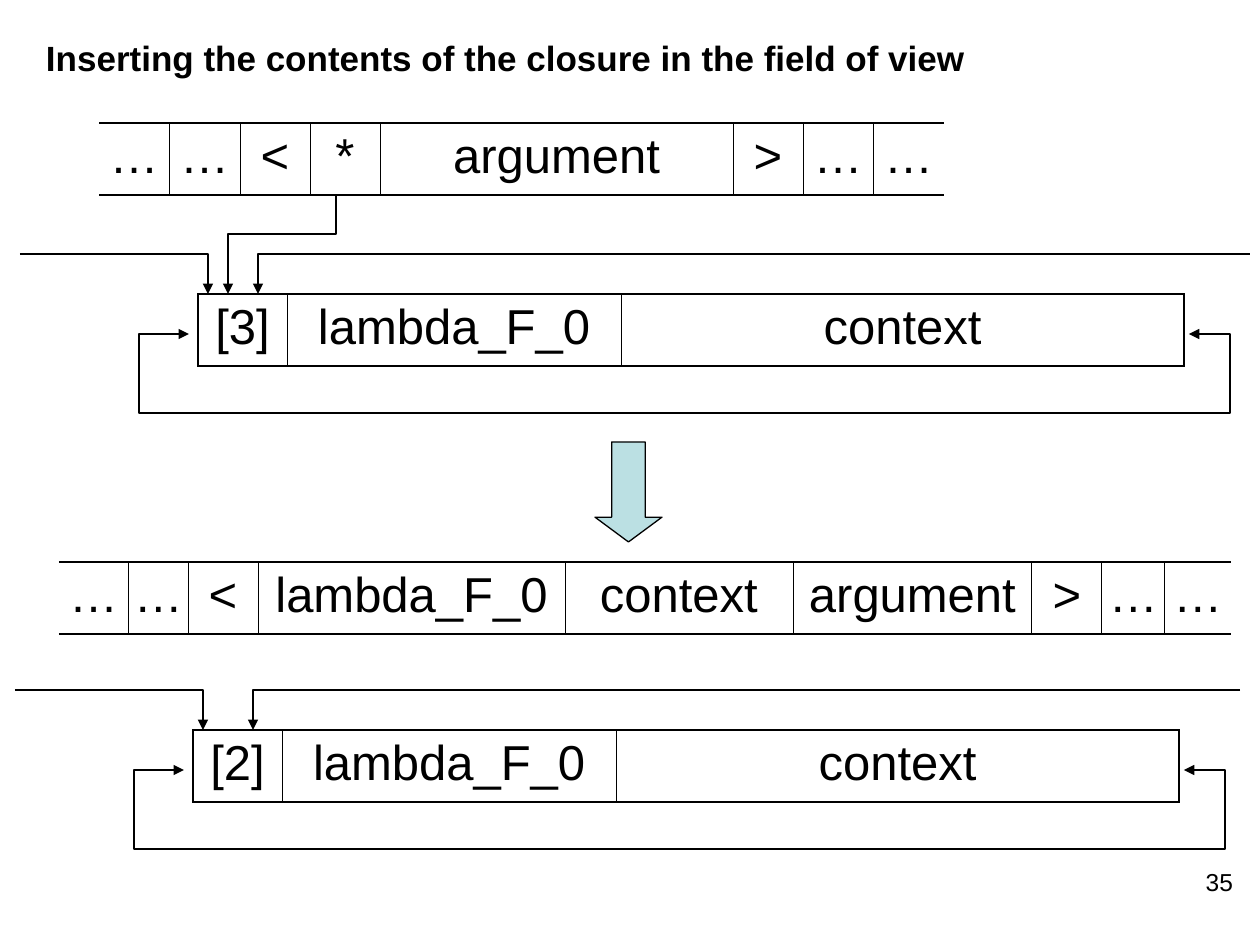
from lxml import etree
from pptx import Presentation, util as u
from pptx.dml import color
from pptx.enum import shapes, text
from pptx.oxml import ns

PX = 914400 / 126
INK = "000000"
PAD = u.Emu(round(6 * PX))
FRAME = dict(margin_left=PAD, margin_right=PAD, margin_top=PAD, margin_bottom=PAD)


def tint(code):
    return color.RGBColor.from_string(code)


def write(box, words, align, size, bold=False):
    box.text = words
    para = box.paragraphs[0]
    para.alignment = align
    for key, val in dict(name="Arial", size=u.Pt(size), bold=bold).items():
        setattr(para.font, key, val)
    para.font.color.rgb = tint(INK)


deck = Presentation()
deck.slide_width = round(1260 * PX)
deck.slide_height = round(945 * PX)
slide = deck.slides.add_slide(deck.slide_layouts[5])
items = slide.shapes

page = items.add_textbox(0, 0, 0, 0)
labels = [
    (items.title, (40, 30, 932, 54), False, text.PP_ALIGN.LEFT, 20, True,
     "Inserting the contents of the closure in the field of view"),
    (page, (1114, 861, 125, 42), True, text.PP_ALIGN.RIGHT, 14, False, "35"),
]
for box, place, wrap, align, size, bold, words in labels:
    for key, val in zip(("left", "top", "width", "height"), place):
        setattr(box, key, round(val * PX))
    frame = box.text_frame
    form = FRAME | dict(word_wrap=wrap, auto_size=text.MSO_AUTO_SIZE.NONE,
                        vertical_anchor=text.MSO_ANCHOR.TOP)
    for key, val in form.items():
        setattr(frame, key, val)
    write(frame, words, align, size, bold)

SHIFT = (-5, 436)
BOX = (89, 334, 563)
rows = [
    (99, 123, (70, 71, 70, 70, 353, 70, 70, 71), "… … < * argument > … …", True),
    (198, 294, BOX, "[3] lambda_F_0 context", False),
    (59, 562, (69, 60, 70, 307, 228, 239, 70, 63, 66),
     "… … < lambda_F_0 context argument > … …", True),
    (198 + SHIFT[0], 294 + SHIFT[1], BOX, "[2] lambda_F_0 context", False),
]
for left, top, widths, words, bare in rows:
    grid = items.add_table(1, len(widths), round(left * PX), round(top * PX),
                           round(sum(widths) * PX), round(72 * PX)).table
    grid.first_row = grid.horz_banding = False
    edge = 0 if bare else 1.08
    last = len(widths) - 1
    for col, (width, word) in enumerate(zip(widths, words.split())):
        grid.columns[col].width = round(width * PX)
        cell = grid.cell(0, col)
        for key, val in FRAME.items():
            setattr(cell, key, val)
        cell.vertical_anchor = text.MSO_ANCHOR.TOP
        cell.fill.background()
        write(cell.text_frame, word, text.PP_ALIGN.CENTER, 28)
        sides = dict(L=0.45 if col else edge, R=0.45 if col < last else edge,
                     T=1.08, B=1.08)
        for rank, (side, weight) in enumerate(sides.items()):
            line = etree.Element(ns.qn("a:ln" + side), w=str(u.Pt(weight)))
            if weight:
                fill = etree.SubElement(line, ns.qn("a:solidFill"))
                etree.SubElement(fill, ns.qn("a:srgbClr"), val=INK)
            else:
                etree.SubElement(line, ns.qn("a:noFill"))
            cell._tc.get_or_add_tcPr().insert(rank, line)

paths = [([(336, 195), (336, 234), (228, 234), (228, 294)], ["tailEnd"])]
for dx, dy, end in ((0, 0, 1250), (*SHIFT, 1240)):
    loop = [(1189, 334), (1230, 334), (1230, 413), (139, 413), (139, 334), (189, 334)]
    enter = [(20, 254), (208, 254), (208, 294)]
    back = [(end - dx, 254), (258, 254), (258, 294)]
    for spots, tips in ((loop, ["headEnd", "tailEnd"]),
                        (enter, ["tailEnd"]), (back, ["tailEnd"])):
        paths.append(([(x + dx, y + dy) for x, y in spots], tips))

for spots, tips in paths:
    pen = items.build_freeform(*spots[0], scale=PX)
    pen.add_line_segments(spots[1:], close=False)
    wire = pen.convert_to_shape()
    wire.shadow.inherit = False
    wire.fill.background()
    wire.line.color.rgb = tint(INK)
    wire.line.width = u.Pt(1.25)
    for tip in tips:
        etree.SubElement(wire.line._get_or_add_ln(), ns.qn("a:" + tip), type="triangle")

arrow = items.add_shape(shapes.MSO_SHAPE.DOWN_ARROW, *(
    round(val * PX) for val in (595, 442, 67, 100)))
arrow.adjustments[0] = 0.5
arrow.adjustments[1] = 0.37
arrow.shadow.inherit = False
arrow.fill.solid()
arrow.fill.fore_color.rgb = tint("BBE0E3")
arrow.line.color.rgb = tint(INK)
arrow.line.width = u.Pt(0.75)

deck.save("out.pptx")
